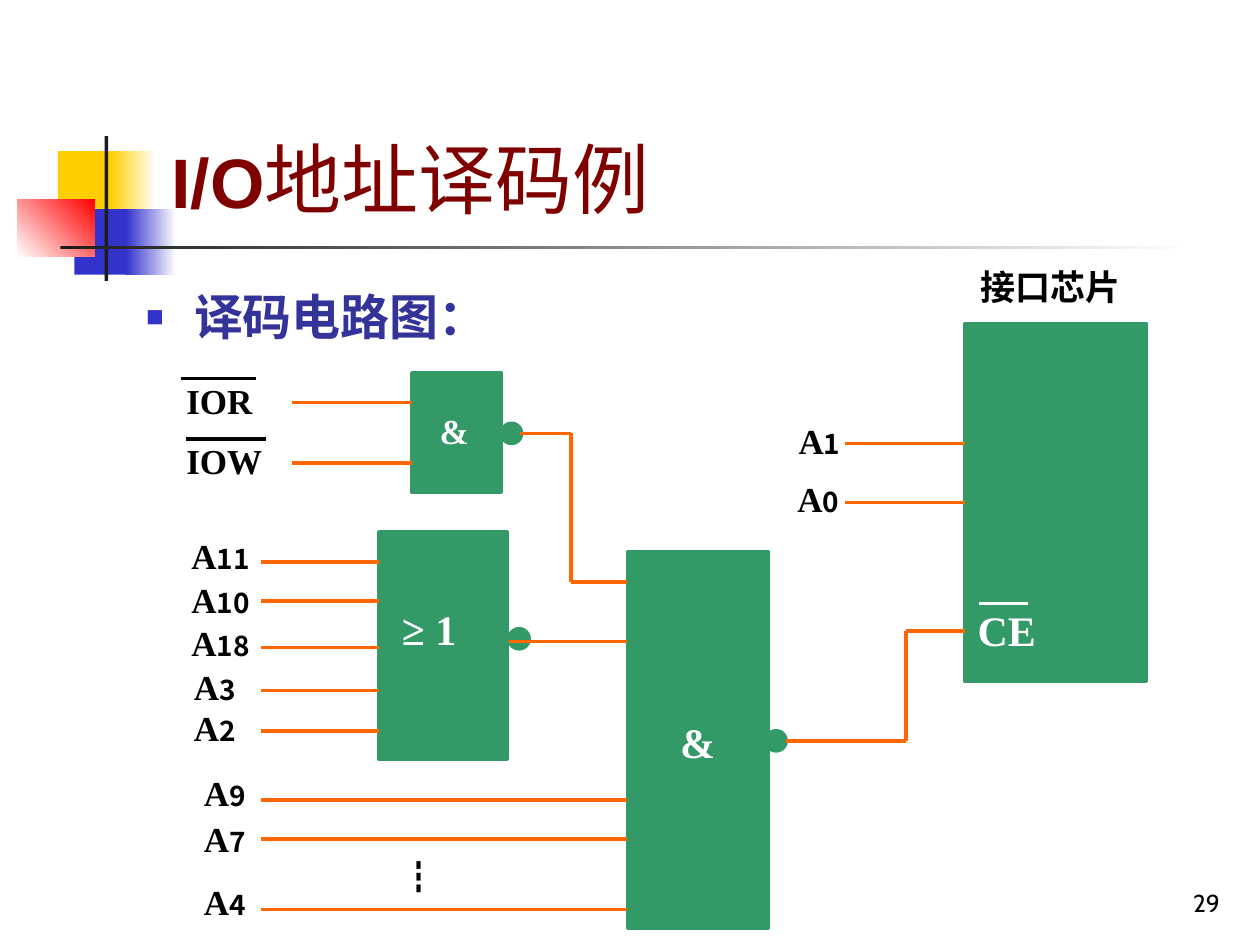
from dataclasses import dataclass

from lxml import etree
from pptx import Presentation
from pptx.dml.color import RGBColor
from pptx.enum import shapes, text
from pptx.oxml import ns
from pptx.util import Emu, Pt

deck = Presentation()
deck.slide_width, deck.slide_height = Emu(9144000), Emu(6858000)
slide = deck.slides.add_slide(deck.slide_layouts[1])

# The slide is a grid of 100 columns by 75 rows of square cells
CELL = deck.slide_width / 100
GREEN, ORANGE, BLACK, WHITE = "339966", "FF6600", "000000", "FFFFFF"
SERIF, HAN = "Times New Roman", "Noto Sans CJK SC"


@dataclass
class Box:
    col: float
    row: float
    cols: float
    rows: float

    def emu(self) -> list[Emu]:
        return [cells(n) for n in (self.col, self.row, self.cols, self.rows)]


@dataclass
class Signal:
    name: str
    label_col: float
    label_row: float
    wire_row: float
    label_cols: float = 6.3


def cells(count: float) -> Emu:
    return Emu(round(count * CELL))


def color(value: str) -> RGBColor:
    return RGBColor.from_string(value)


def block(box: Box, fill: str, fade_to: str = "", angle: float = 0,
          outline: bool = False, kind=shapes.MSO_SHAPE.RECTANGLE):
    shape = slide.shapes.add_shape(kind, *box.emu())
    shape.shadow.inherit = False
    if fade_to:
        shape.fill.gradient()
        shape.fill.gradient_angle = angle
        for stop, shade, position in zip(shape.fill.gradient_stops, (fill, fade_to), (0, 1)):
            stop.color.rgb, stop.position = color(shade), position
    else:
        shape.fill.solid()
        shape.fill.fore_color.rgb = color(fill)
    if outline:
        shape.line.color.rgb, shape.line.width = color(fill), Pt(2)
    else:
        shape.line.fill.background()
    return shape


def bubble(col: float, row: float) -> None:
    block(Box(col, row, 1.6, 1.6), GREEN, outline=True, kind=shapes.MSO_SHAPE.OVAL)


def wire(*points: tuple[float, float], stroke: str = ORANGE):
    """Draw straight segments through the points; return the last one."""
    for start, end in zip(points, points[1:]):
        segment = slide.shapes.add_connector(
            shapes.MSO_CONNECTOR.STRAIGHT, *map(cells, start + end))
        segment.line.color.rgb, segment.line.width = color(stroke), Pt(2)
        etree.SubElement(segment._element.spPr, ns.qn("a:effectLst"))
    return segment


def write(paragraph, words: str, size: float = 20, face: str = SERIF,
          shade: str = BLACK, bold: bool = True) -> None:
    run = paragraph.add_run()
    run.text = words
    font = run.font
    font.size, font.name, font.bold = Pt(size), face, bold
    font.color.rgb = color(shade)
    east_asian = etree.Element(ns.qn("a:ea"), typeface=HAN)
    font._element.find(ns.qn("a:latin")).addnext(east_asian)


def label(box: Box, words: str, digits: str = "", **style):
    caption = slide.shapes.add_textbox(*box.emu())
    frame = caption.text_frame
    frame.word_wrap = True
    write(frame.paragraphs[0], words, **style)
    if digits:
        write(frame.paragraphs[0], digits, size=16, face=HAN)
    return frame


def address(signal: Signal, start: float, end: float):
    """Label an address line and run its wire between two columns."""
    label(Box(signal.label_col, signal.label_row, signal.label_cols, 4.3),
          signal.name[0], signal.name[1:])
    return wire((start, signal.wire_row), (end, signal.wire_row))


def place(holder, box: Box, anchor):
    """Move a placeholder above the decoration and return its paragraph."""
    holder.left, holder.top, holder.width, holder.height = box.emu()
    slide.shapes._spTree.append(holder._element)
    frame = holder.text_frame
    frame.word_wrap, frame.vertical_anchor = True, anchor
    frame.auto_size = text.MSO_AUTO_SIZE.NONE
    paragraph = frame.paragraphs[0]
    paragraph.alignment = text.PP_ALIGN.LEFT
    paragraph.space_before = Pt(0)
    return paragraph


# Corner decoration and title rule
block(Box(4.6, 12, 4.8, 5.2), "FFCF01")
block(Box(8.8, 12, 3.6, 5.2), "FFCF01", WHITE)
block(Box(5.9, 16.6, 4.6, 5.2), "3333CC")
block(Box(10, 16.6, 4, 5.2), "3333CC", WHITE)
block(Box(1.4, 15.8, 6.1, 4.6), WHITE, "FF0000", angle=45)
block(Box(8.3, 10.8, 0.3, 11.5), "1C1C1C")
block(Box(4.8, 19.5, 90, 0.3), "1C1C1C", WHITE)

# Title, bullet and page number
heading = place(slide.shapes.title, Box(12.6, 2.3, 85.2, 16), text.MSO_ANCHOR.BOTTOM)
write(heading, "I/O", size=40, face="Arial", shade="800000")
write(heading, "地址译码例", size=44, face="Arial", shade="800000", bold=False)

bullet = place(slide.placeholders[1], Box(10.6, 21.8, 47.3, 6.8), text.MSO_ANCHOR.TOP)
bullet.line_spacing = 1.1
properties = bullet._p.get_or_add_pPr()
properties.set("marL", str(cells(3.8)))
properties.set("indent", str(cells(-3.8)))
marker_color = etree.SubElement(properties, ns.qn("a:buClr"))
etree.SubElement(marker_color, ns.qn("a:srgbClr"), val="3333CC")
etree.SubElement(properties, ns.qn("a:buSzPct"), val="60000")
etree.SubElement(properties, ns.qn("a:buFont"), typeface="Arial")
etree.SubElement(properties, ns.qn("a:buChar"), char="■")
write(bullet, "译码电路图：", size=28, face="Arial", shade="333399")

page = label(Box(77, 68.3, 20.8, 5), "29", size=14, face="Cabin", bold=False)
page.vertical_anchor = text.MSO_ANCHOR.BOTTOM
page.paragraphs[0].alignment = text.PP_ALIGN.RIGHT

# Chip and gates
chip = block(Box(76.6, 25.7, 14.4, 28.4), GREEN, outline=True)
for gate in (Box(49.8, 43.8, 11.2, 29.9), Box(30.1, 42.2, 10.2, 18.1),
             Box(32.7, 29.6, 7.1, 9.5)):
    block(gate, GREEN, outline=True)
for col, row in ((40.4, 49.9), (60.8, 58), (39.8, 33.6)):
    bubble(col, row)
label(Box(76.8, 20.6, 15.7, 4.3), "接口芯片")
label(Box(30.9, 47.4, 9.5, 5), "≥ 1", size=24, shade=WHITE)
label(Box(53, 56.4, 7.1, 5), "&", size=24, shade=WHITE)
label(Box(33.9, 32, 5.5, 4.3), "&", shade=WHITE)
label(Box(76.6, 47.5, 7.1, 5), "CE", size=24, shade=WHITE)
wire((77.7, 47.9), (81.6, 47.9), stroke=WHITE)

# Address lines into the OR gate
for signal in (Signal("A11", 14.2, 41.9, 44.6, 7.9), Signal("A10", 14.2, 45.4, 47.7, 7.9),
               Signal("A18", 14.2, 48.8, 51.4, 7.9), Signal("A3", 14.4, 52.3, 54.8),
               Signal("A2", 14.4, 55.6, 58)):
    address(signal, 20.7, 30.1)

# Address lines into the output gate
for signal in (Signal("A9", 15.2, 60.7, 63.5), Signal("A7", 15.2, 64.4, 66.6),
               Signal("A4", 15.2, 69.4, 72.2)):
    address(signal, 20.7, 49.8)
label(Box(30.9, 67.4, 6.3, 4.3), "┇", face=HAN)

# Address lines into the chip
address(Signal("A1", 62.4, 32.8, 35.2), 67.1, 76.6)
address(Signal("A0", 62.3, 37.4, 39.9), 67.1, 76.6).end_connect(chip, 1)

# Active-low read and write strobes
for strobe, row, bar_start, bar_end in (("IOR", 29.6, 14.4, 20.3), ("IOW", 34.4, 14.8, 21.1)):
    label(Box(13.8, row, 9.5, 4.3), strobe)
    wire((bar_start, row + 0.45), (bar_end, row + 0.45), stroke=BLACK)
    wire((23.2, row + 2.35), (32.7, row + 2.35))

# Gate outputs
wire((41.3, 34.4), (45.3, 34.4), (45.3, 46.2), (49.8, 46.2))
wire((40.4, 50.9), (49.8, 50.9))
wire((62.4, 58.8), (71.9, 58.8), (71.9, 50.1), (76.6, 50.1))

deck.save("out.pptx")
